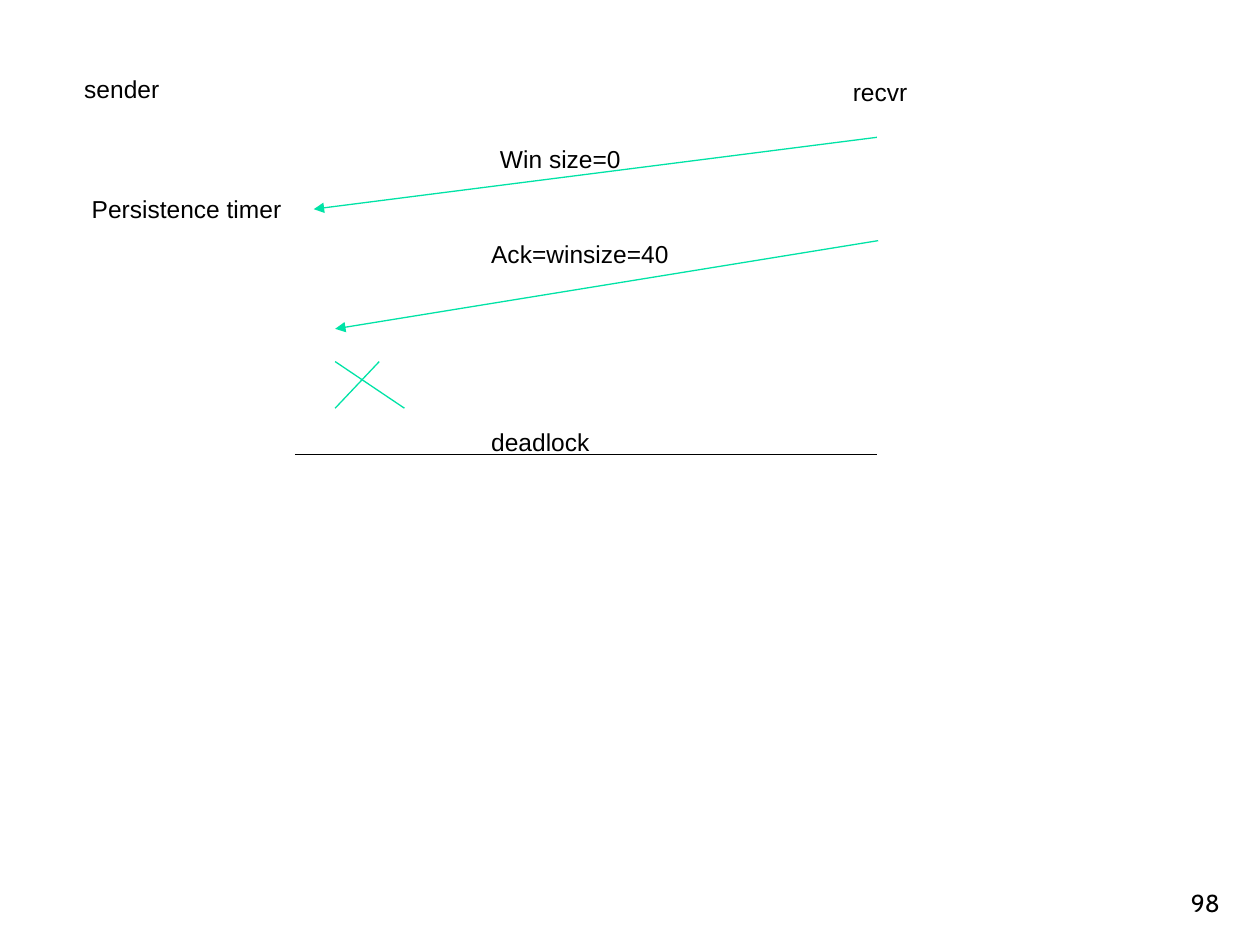
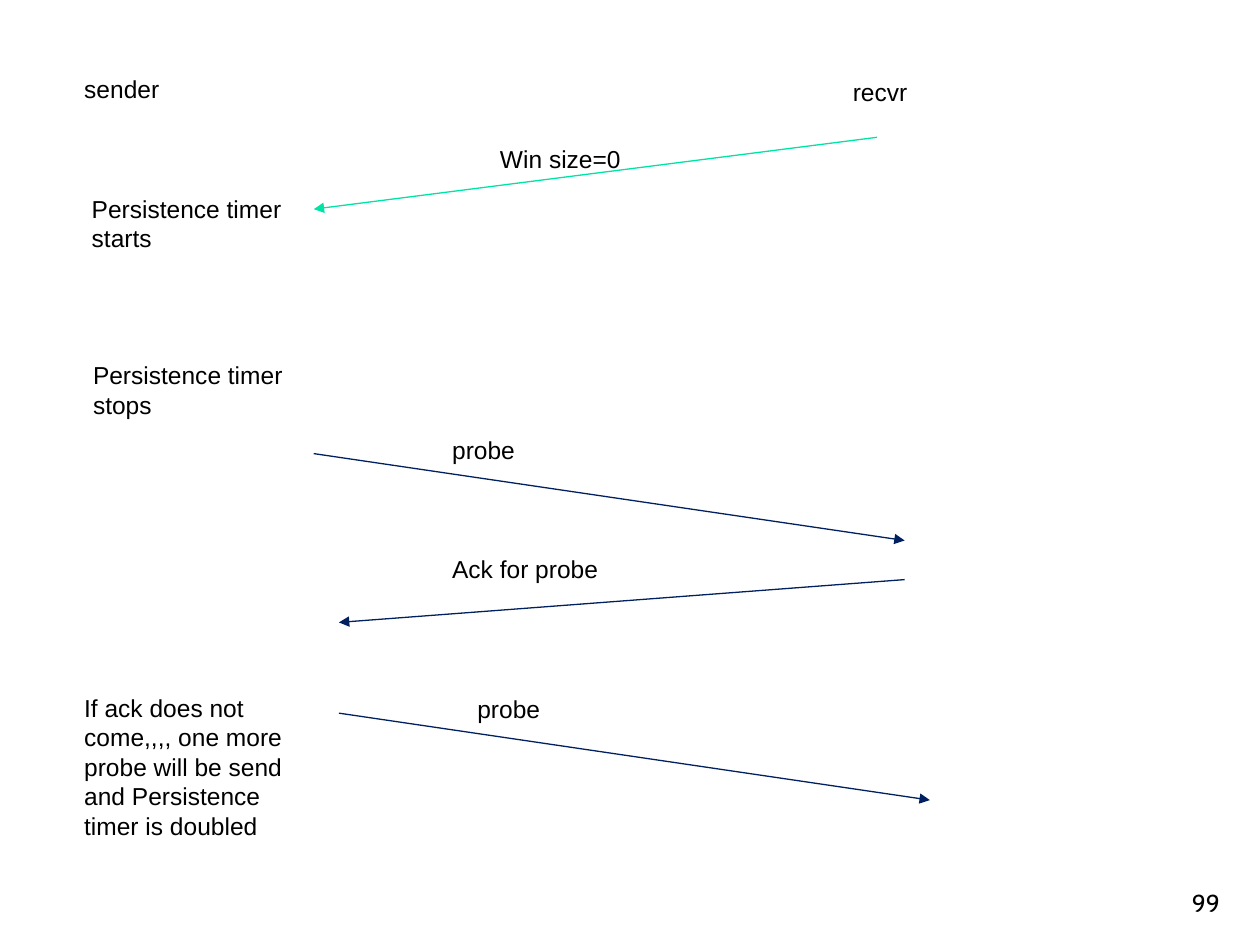
from pptx import Presentation
from pptx.dml.color import RGBColor
from pptx.enum.shapes import MSO_CONNECTOR
from pptx.enum.text import MSO_ANCHOR, PP_ALIGN
from pptx.oxml.ns import qn
from pptx.util import Inches, Pt
from lxml.etree import SubElement

COLOURS = {"text": "000000", "window": "00E3A6", "probe": "002060"}
LINE_HEIGHT = 0.34


def add_label(page, left, top, width, text, height=LINE_HEIGHT, font="Arial",
              align=PP_ALIGN.LEFT, anchor=MSO_ANCHOR.TOP):
    box = page.shapes.add_textbox(Inches(left), Inches(top), Inches(width), Inches(height))
    frame = box.text_frame
    frame.word_wrap = True
    frame.vertical_anchor = anchor
    para = frame.paragraphs[0]
    para.alignment = align
    span = para.add_run()
    span.text = text
    span.font.name = font
    span.font.size = Pt(14)
    span.font.color.rgb = RGBColor.from_string(COLOURS["text"])


def add_line(page, left, top, start, end, colour, arrow=False):
    line = page.shapes.add_connector(
        MSO_CONNECTOR.STRAIGHT,
        Inches(left + start[0]), Inches(top + start[1]),
        Inches(left + end[0]), Inches(top + end[1]))
    line.line.color.rgb = RGBColor.from_string(COLOURS[colour])
    line.line.width = Pt(0.75)
    properties = line._element.spPr
    if arrow:
        SubElement(properties.find(qn("a:ln")), qn("a:tailEnd"), type="triangle")
    SubElement(properties, qn("a:effectLst"))


def draw_zero_window(page, left, top, timer_text, timer_height=LINE_HEIGHT):
    add_label(page, left, top, 1.51, "sender")
    add_label(page, left + 6.1, top + 0.02, 1.51, "recvr")
    add_line(page, left, top, (6.39, 0.55), (1.92, 1.12), "window", arrow=True)
    add_label(page, left + 3.3, top + 0.55, 2.03, "Win size=0")
    add_label(page, left + 0.06, top + 0.95, 1.87, timer_text, timer_height)


def draw_deadlock(page, left, top):
    add_line(page, left, top, (4.63, 0.06), (0.32, 0.76), "window", arrow=True)
    add_label(page, left + 1.46, top, 2.03, "Ack=winsize=40")
    add_line(page, left, top, (0.32, 1.02), (0.87, 1.39), "window")
    add_line(page, left, top, (0.67, 1.02), (0.32, 1.39), "window")
    add_line(page, left, top, (0, 1.76), (4.62, 1.76), "text")
    add_label(page, left + 1.46, top + 1.49, 1.78, "deadlock")


def draw_probe(page, left, top):
    add_line(page, left, top, (0, 0), (4.69, 0.69), "probe", arrow=True)
    add_label(page, left + 1, top - 0.2, 1.39, "probe")


def draw_probe_ack(page, left, top):
    add_line(page, left, top, (4.49, 0), (0, 0.34), "probe", arrow=True)
    add_label(page, left + 0.8, top - 0.25, 2.03, "Ack for probe")


def add_page(deck, number):
    page = deck.slides.add_slide(deck.slide_layouts[6])
    add_label(page, 7.7, 6.83, 2.08, str(number), 0.5, "Cabin",
              PP_ALIGN.RIGHT, MSO_ANCHOR.BOTTOM)
    return page


def build_deadlock_page(deck):
    page = add_page(deck, 98)
    draw_zero_window(page, 0.57, 0.54, "Persistence timer")
    draw_deadlock(page, 2.34, 1.85)


def build_probe_page(deck):
    page = add_page(deck, 99)
    draw_zero_window(page, 0.57, 0.54, "Persistence timer starts", 0.57)
    add_label(page, 0.64, 2.81, 1.87, "Persistence timer stops", 0.57)
    draw_probe(page, 2.49, 3.6)
    draw_probe_ack(page, 2.69, 4.6)
    draw_probe(page, 2.69, 5.66)
    add_label(page, 0.57, 5.45, 1.87,
              "If ack does not come,,,, one more probe will be send "
              "and Persistence timer is doubled", 1.28)


def main():
    deck = Presentation()
    deck.slide_width = Inches(10)
    deck.slide_height = Inches(7.5)
    build_deadlock_page(deck)
    build_probe_page(deck)
    deck.save("out.pptx")


if __name__ == "__main__":
    main()
